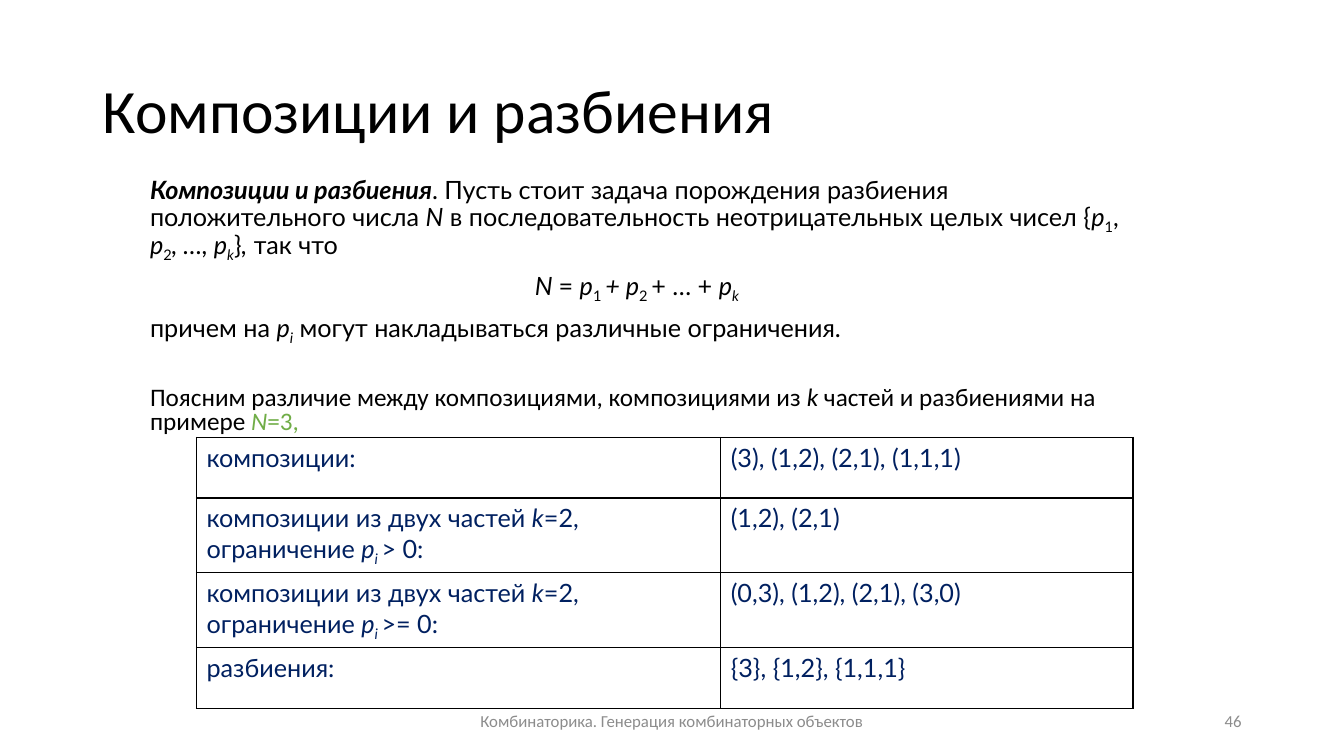
import typing

import pptx
import pptx.dml.color
import pptx.enum.text
import pptx.oxml
import pptx.oxml.ns
import pptx.util

Pt = pptx.util.Pt
RGBColor = pptx.dml.color.RGBColor
Align = pptx.enum.text.PP_ALIGN
Anchor = pptx.enum.text.MSO_ANCHOR
Fit = pptx.enum.text.MSO_AUTO_SIZE

BLACK = RGBColor(0x00, 0x00, 0x00)
GREEN = RGBColor(0x70, 0xAD, 0x47)
NAVY = RGBColor(0x00, 0x20, 0x60)
GREY = RGBColor(0x8C, 0x8C, 0x8C)


class Look(typing.NamedTuple):
    face: str
    size: float
    color: RGBColor


class Bit(typing.NamedTuple):
    text: str
    marks: str = ""
    color: typing.Optional[RGBColor] = None


class Para(typing.NamedTuple):
    bits: list[Bit]
    look: Look
    form: dict[str, typing.Any]


class Note(typing.NamedTuple):
    text: str
    left: float
    width: float
    align: Align


HEAD = Look("Calibri", 44, BLACK)
MAIN = Look("Lato", 18, BLACK)
PLAIN = Look("Calibri", 18, BLACK)
CELL = Look("Lato", 18, NAVY)
FOOT = Look("Calibri", 12, GREY)

TITLE = "Композиции и разбиения"
LEFT = {"alignment": Align.LEFT, "line_spacing": 0.8, "space_before": Pt(0)}
NEXT = {**LEFT, "space_before": Pt(10)}

BODY = [
    Para([
        Bit(TITLE, "bi"),
        Bit(". Пусть стоит задача порождения разбиения положительного числа "),
        Bit("N", "i"),
        Bit(" в последовательность неотрицательных целых чисел {"),
        Bit("p", "i"), Bit("1", "s"), Bit(", "),
        Bit("p", "i"), Bit("2", "s"), Bit(", …, ", "i"),
        Bit("p", "i"), Bit("k", "is"), Bit("}"), Bit(",", "i"),
        Bit(" так что"),
    ], MAIN, LEFT),
    Para([
        Bit("N ", "i"), Bit("= "), Bit("p", "i"), Bit("1 ", "s"),
        Bit("+ p", "i"), Bit("2 ", "s"), Bit("+ … + "),
        Bit("p", "i"), Bit("k", "is"),
    ], MAIN, {**NEXT, "alignment": Align.CENTER}),
    Para([
        Bit("причем на "), Bit("р", "i"), Bit("i", "is"),
        Bit(" могут накладываться различные ограничения."),
    ], MAIN, NEXT),
    Para([
        Bit("Поясним различие между композициями, композициями из "),
        Bit("k", "i"), Bit(" частей и разбиениями на примере "),
        Bit("N", "i", GREEN), Bit("=3,", "", GREEN),
    ], PLAIN, {**NEXT, "space_before": Pt(31.5)}),
]


def limit(sign: str) -> list[Bit]:
    return [
        Bit("композиции из двух частей "), Bit("k", "i"),
        Bit("=2, ограничение "), Bit("р", "i"), Bit("i ", "is"),
        Bit(f"{sign} 0:"),
    ]


ROWS = [
    (43.2, [Bit("композиции:")], "(3), (1,2), (2,1), (1,1,1)"),
    (53.5, limit(">"), "(1,2), (2,1)"),
    (53.5, limit(">="), "(0,3), (1,2), (2,1), (3,0)"),
    (43.2, [Bit("разбиения:")], "{3}, {1,2}, {1,1,1}"),
]
COLS = [374.4, 294.5]

NOTES = [
    Note("Комбинаторика. Генерация комбинаторных объектов", 318, 324, Align.CENTER),
    Note("46", 678, 216, Align.RIGHT),
]


def apply(item: typing.Any, form: dict[str, typing.Any]) -> None:
    for name, value in form.items():
        setattr(item, name, value)


def place(item: typing.Any, left: float, top: float, width: float, height: float) -> None:
    apply(item, {"left": Pt(left), "top": Pt(top), "width": Pt(width), "height": Pt(height)})


def write(frame: typing.Any, paras: list[Para]) -> None:
    for rank, para in enumerate(paras):
        line = frame.add_paragraph() if rank else frame.paragraphs[0]
        props = line._p.get_or_add_pPr()
        props.set("marL", "0")
        props.set("indent", "0")
        props.append(props.makeelement(pptx.oxml.ns.qn("a:buNone"), {}))
        apply(line, para.form)
        for bit in para.bits:
            run = line.add_run()
            run.text = bit.text
            apply(run.font, {
                "name": para.look.face,
                "size": Pt(para.look.size),
                "bold": "b" in bit.marks,
                "italic": "i" in bit.marks,
            })
            run.font.color.rgb = bit.color or para.look.color
            if "s" in bit.marks:
                run._r.get_or_add_rPr().set("baseline", "-25000")


def edge(cell: typing.Any) -> None:
    props = cell._tc.get_or_add_tcPr()
    for side in ("lnL", "lnR", "lnT", "lnB"):
        props.append(pptx.oxml.parse_xml(
            f'<a:{side} {pptx.oxml.ns.nsdecls("a")} w="12700">'
            f'<a:solidFill><a:srgbClr val="{BLACK}"/></a:solidFill></a:{side}>'
        ))
    cell.fill.background()


def grid(slide: typing.Any) -> None:
    total = sum(row[0] for row in ROWS)
    table = slide.shapes.add_table(
        len(ROWS), len(COLS), Pt(140.4), Pt(312.5), Pt(sum(COLS)), Pt(total)
    ).table
    apply(table, {"first_row": False, "horz_banding": False})
    for col, width in zip(table.columns, COLS):
        col.width = Pt(width)
    for row, (height, label, value) in zip(table.rows, ROWS):
        row.height = Pt(height)
        for cell, bits in zip(row.cells, (label, [Bit(value)])):
            write(cell.text_frame, [Para(bits, CELL, {"alignment": Align.LEFT})])
            edge(cell)


def foot(slide: typing.Any, note: Note) -> None:
    box = slide.shapes.add_textbox(Pt(note.left), Pt(500.5), Pt(note.width), Pt(28.8))
    apply(box.text_frame, {"word_wrap": True, "vertical_anchor": Anchor.MIDDLE})
    write(box.text_frame, [Para([Bit(note.text)], FOOT, {"alignment": note.align})])


def main() -> None:
    deck = pptx.Presentation()
    apply(deck, {"slide_width": Pt(960), "slide_height": Pt(540)})
    slide = deck.slides.add_slide(deck.slide_layouts[1])
    title, body = slide.placeholders
    place(title, 66, 28.8, 828, 104.4)
    place(body, 100, 125.3, 710, 195)
    for item, anchor in ((title, Anchor.MIDDLE), (body, Anchor.TOP)):
        apply(item.text_frame, {
            "word_wrap": True, "auto_size": Fit.NONE, "vertical_anchor": anchor,
        })
    write(title.text_frame, [Para([Bit(TITLE)], HEAD, {**LEFT, "line_spacing": 0.9})])
    write(body.text_frame, BODY)
    grid(slide)
    for note in NOTES:
        foot(slide, note)
    deck.save("out.pptx")


if __name__ == "__main__":
    main()
